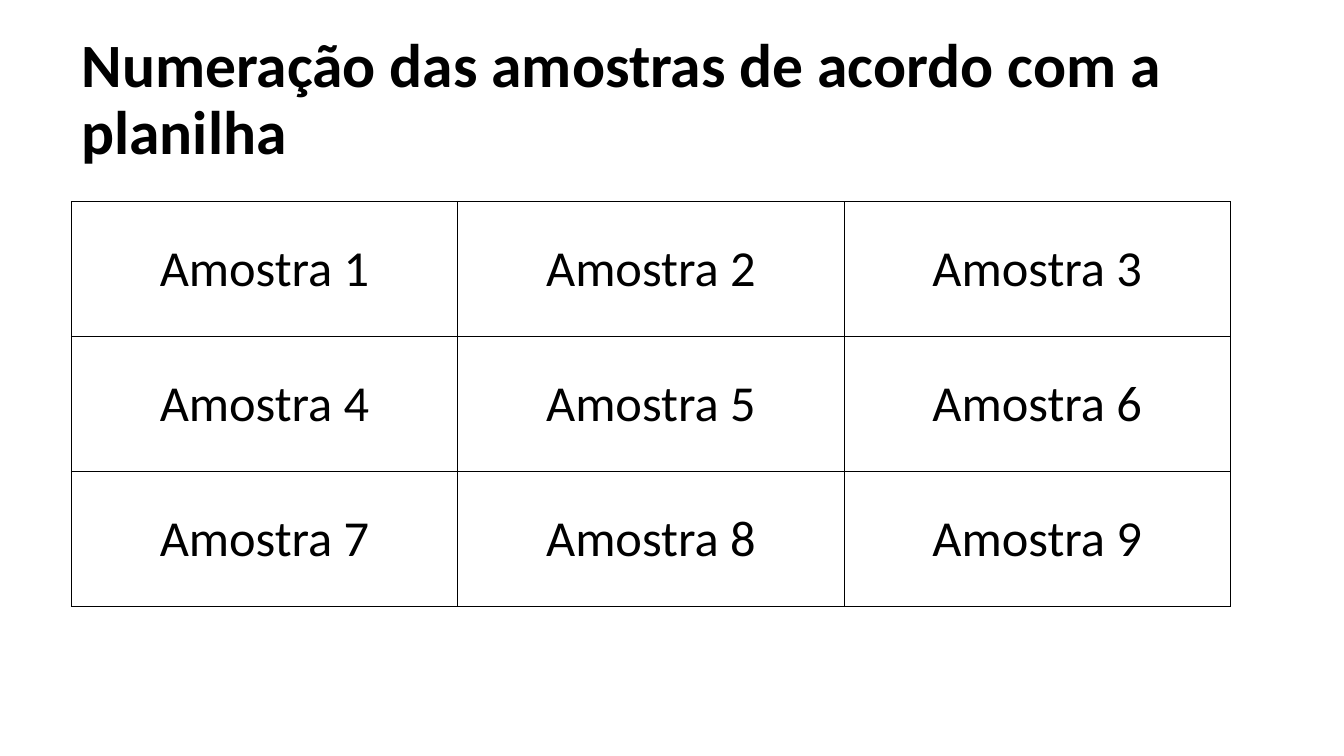
from dataclasses import dataclass

from lxml import etree
from pptx import Presentation
from pptx import util as u
from pptx.dml.color import RGBColor
from pptx.enum import text
from pptx.oxml import ns

BLACK = RGBColor(0x00, 0x00, 0x00)
WHITE = RGBColor(0xFF, 0xFF, 0xFF)
FONT = "Calibri"
BORDER_WIDTH = u.Pt(1)
GRID_SIZE = 3
LEFT = u.Cm(1.8)
WIDTH = u.Cm(29.21)


@dataclass(frozen=True)
class Sample:
    number: int

    @property
    def label(self) -> str:
        return f"Amostra {self.number}"

    @property
    def row(self) -> int:
        return (self.number - 1) // GRID_SIZE

    @property
    def column(self) -> int:
        return (self.number - 1) % GRID_SIZE


def add_run(paragraph, content: str, size: int, bold: bool = False) -> None:
    run = paragraph.add_run()
    run.text = content
    run.font.name = FONT
    run.font.size = u.Pt(size)
    run.font.bold = bold
    run.font.color.rgb = BLACK


def set_borders(cell) -> None:
    properties = cell._tc.get_or_add_tcPr()
    for position, side in enumerate(("lnL", "lnR", "lnT", "lnB")):
        line = etree.Element(ns.qn(f"a:{side}"), w=str(BORDER_WIDTH))
        fill = etree.SubElement(line, ns.qn("a:solidFill"))
        etree.SubElement(fill, ns.qn("a:srgbClr"), val=str(BLACK))
        properties.insert(position, line)


def add_title(slide, content: str) -> None:
    title = slide.shapes.title
    title.left, title.top = LEFT, u.Cm(0.71)
    title.width, title.height = WIDTH, u.Cm(3.68)
    frame = title.text_frame
    frame.word_wrap = True
    frame.auto_size = text.MSO_AUTO_SIZE.NONE
    frame.vertical_anchor = text.MSO_ANCHOR.MIDDLE
    paragraph = frame.paragraphs[0]
    paragraph.alignment = text.PP_ALIGN.LEFT
    paragraph.line_spacing = 0.9
    add_run(paragraph, content, 44, bold=True)


def draw_sample(table, sample: Sample) -> None:
    cell = table.cell(sample.row, sample.column)
    cell.fill.solid()
    cell.fill.fore_color.rgb = WHITE
    cell.vertical_anchor = text.MSO_ANCHOR.MIDDLE
    set_borders(cell)
    paragraph = cell.text_frame.paragraphs[0]
    paragraph.alignment = text.PP_ALIGN.CENTER
    add_run(paragraph, sample.label, 36)


def add_sample_table(slide, samples: list[Sample]) -> None:
    frame = slide.shapes.add_table(
        GRID_SIZE, GRID_SIZE, LEFT, u.Cm(5.08), WIDTH, u.Cm(10.21)
    )
    table = frame.table
    table.first_row = False
    table.horz_banding = False
    for sample in samples:
        draw_sample(table, sample)


def main() -> None:
    presentation = Presentation()
    presentation.slide_width = u.Cm(33.87)
    presentation.slide_height = u.Cm(19.05)
    slide = presentation.slides.add_slide(presentation.slide_layouts[5])
    add_title(slide, "Numeração das amostras de acordo com a planilha")
    add_sample_table(slide, [Sample(n) for n in range(1, GRID_SIZE**2 + 1)])
    presentation.save("out.pptx")


if __name__ == "__main__":
    main()
